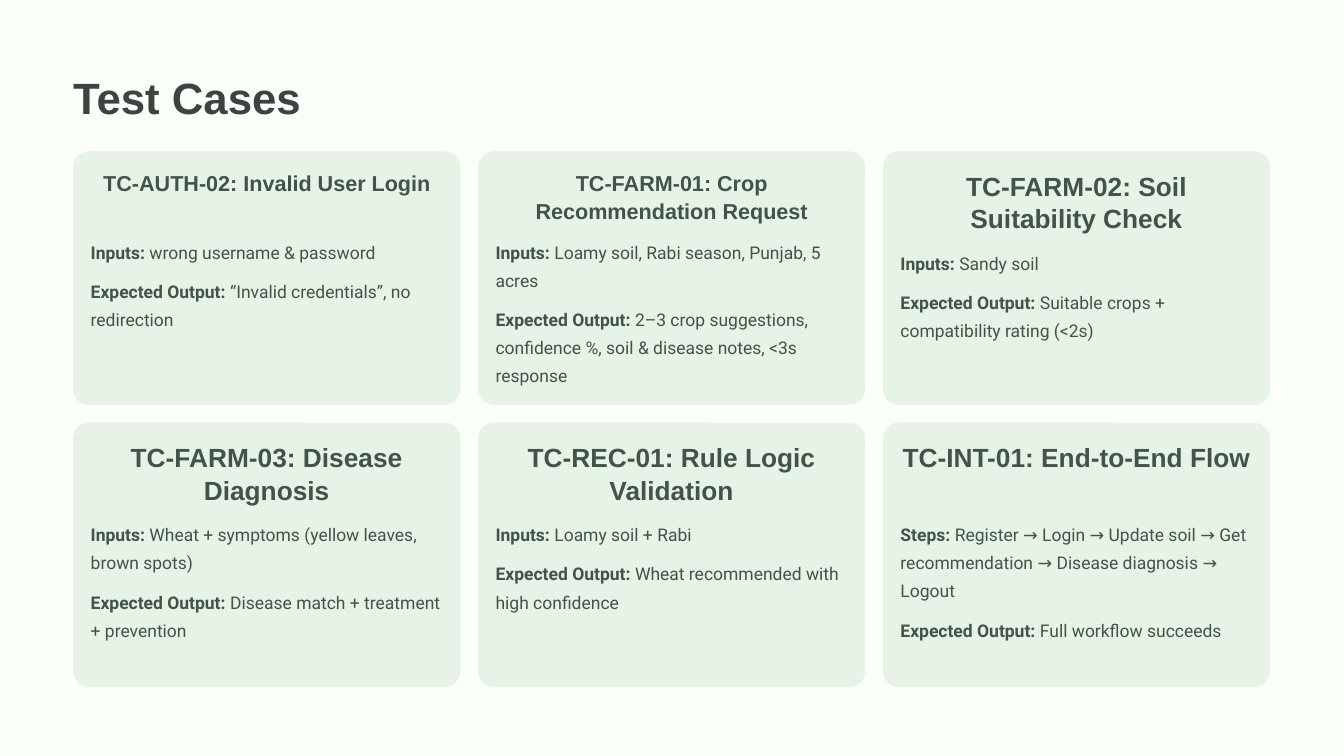
from pptx import Presentation
from pptx.dml.color import RGBColor
from pptx.enum.shapes import MSO_SHAPE as Shape
from pptx.enum.text import PP_ALIGN as Align
from pptx.util import Inches, Pt

PAPER, MINT, DARK, GREEN = "FAFFFA", "E8F3E8", "3B4540", "405449"
LEFT, WIDE, GAP, PAD = 0.87, 4.61, 0.21, 0.21
LINE, SPACE = 0.335, 0.13
SMALL, LARGE = (18.5, 23.5, 0.66), (22.5, 28, 0.79)
OUT = "Expected Output:"

ROWS = [
    (1.8, 3.02, [
        ("TC-AUTH-02: Invalid User Login", SMALL, [
            ("Inputs:", " wrong username & password", 1),
            (OUT, " “Invalid credentials”, no redirection", 2)]),
        ("TC-FARM-01: Crop Recommendation Request", SMALL, [
            ("Inputs:", " Loamy soil, Rabi season, Punjab, 5 acres", 2),
            (OUT, " 2–3 crop suggestions, confidence %, soil & disease notes, "
                  "<3s response", 3)]),
        ("TC-FARM-02: Soil Suitability Check", LARGE, [
            ("Inputs:", " Sandy soil", 1),
            (OUT, " Suitable crops + compatibility rating (<2s)", 2)]),
    ]),
    (5.03, 3.15, [
        ("TC-FARM-03: Disease Diagnosis", LARGE, [
            ("Inputs:", " Wheat + symptoms (yellow leaves, brown spots)", 2),
            (OUT, " Disease match + treatment + prevention", 2)]),
        ("TC-REC-01: Rule Logic Validation", LARGE, [
            ("Inputs:", " Loamy soil + Rabi", 1),
            (OUT, " Wheat recommended with high confidence", 2)]),
        ("TC-INT-01: End-to-End Flow", LARGE, [
            ("Steps:", " Register → Login → Update soil → Get recommendation "
                       "→ Disease diagnosis → Logout", 3),
            (OUT, " Full workflow succeeds", 2)]),
    ]),
]


def color(code):
    return RGBColor.from_string(code)


def write(slide, box, bold, plain="", size=15, lead=24, font="Roboto",
          ink=GREEN, align=Align.LEFT):
    frame = slide.shapes.add_textbox(*map(Inches, box)).text_frame
    frame.word_wrap = True
    frame.margin_left = frame.margin_right = 0
    frame.margin_top = frame.margin_bottom = 0
    para = frame.paragraphs[0]
    para.alignment = align
    para.line_spacing = Pt(lead)
    for text, heavy in ((bold, True), (plain, False)):
        if text:
            run = para.add_run()
            run.text = text
            run.font.name = font
            run.font.size = Pt(size)
            run.font.bold = heavy
            run.font.color.rgb = color(ink)


def draw_card(slide, box, title, style, notes):
    left, top, width, height = box
    card = slide.shapes.add_shape(Shape.ROUNDED_RECTANGLE, *map(Inches, box))
    card.adjustments[0] = 0.19 / height
    card.shadow.inherit = False
    card.fill.solid()
    card.fill.fore_color.rgb = color(MINT)
    card.line.fill.background()
    size, lead, tall = style
    x, y, inner = left + PAD, top + PAD, width - 2 * PAD
    write(slide, (x, y, inner, tall), title, size=size, lead=lead,
          font="Arial", align=Align.CENTER)
    y += tall + SPACE
    for label, text, lines in notes:
        write(slide, (x, y, inner, lines * LINE), label, text)
        y += lines * LINE + SPACE


def draw_grid(slide):
    for top, height, cards in ROWS:
        for col, (title, style, notes) in enumerate(cards):
            box = (LEFT + col * (WIDE + GAP), top, WIDE, height)
            draw_card(slide, box, title, style, notes)


def main():
    deck = Presentation()
    deck.slide_width, deck.slide_height = Inches(16), Inches(9)
    slide = deck.slides.add_slide(deck.slide_layouts[6])
    slide.background.fill.solid()
    slide.background.fill.fore_color.rgb = color(PAPER)
    write(slide, (LEFT, 0.82, 5.27, 0.66), "Test Cases", size=37.5, lead=47,
          font="Arial", ink=DARK)
    draw_grid(slide)
    deck.save("out.pptx")


if __name__ == "__main__":
    main()
